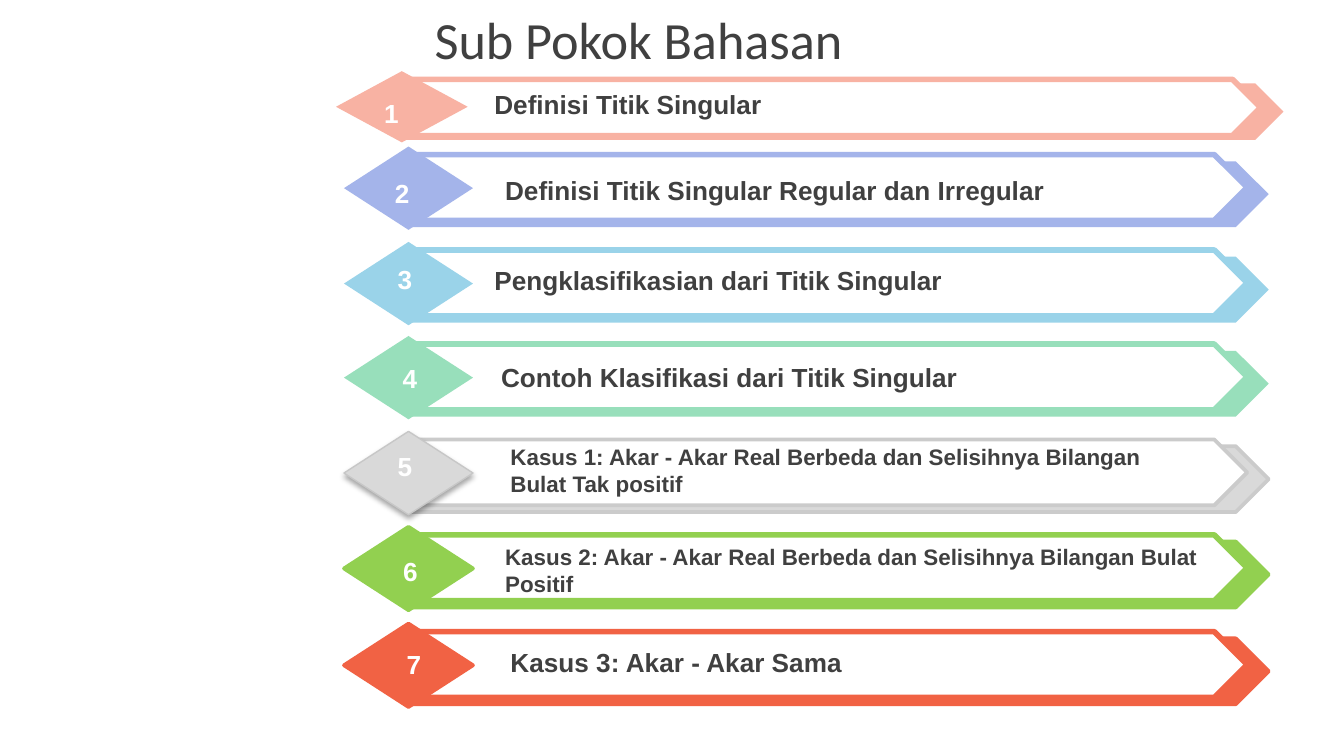
import pptx
import pptx.dml.color
import pptx.enum.shapes
import pptx.enum.text
import pptx.oxml
import pptx.oxml.ns
import pptx.util
from pptx.util import Inches

SHAPES = pptx.enum.shapes.MSO_SHAPE
ANCHOR = pptx.enum.text.MSO_ANCHOR
ALIGN = pptx.enum.text.PP_ALIGN
AUTO_SIZE = pptx.enum.text.MSO_AUTO_SIZE

WHITE = "FFFFFF"
DARK = "404040"

# Boxes are left, top, width, height; tops count from the diamond's top.
FIRST_ROW = {
    "back": (3.02, 0.09, 6.53, 0.42),
    "front": (3.02, 0.06, 6.36, 0.42),
    "diamond": (2.5, 0, 0.98, 0.53),
}
OTHER_ROWS = {
    "back": (3.06, 0.11, 6.38, 0.49),
    "front": (3.06, 0.06, 6.22, 0.49),
    "diamond": (2.56, 0, 0.96, 0.62),
}
ROW_TOPS = [0.53, 1.09, 1.8, 2.5, 3.21, 3.92, 4.64]

# Fill, front line, back line, diamond line; a line is (colour, points).
ROW_STYLES = [
    ("F8B2A3", ("F8B2A3", 3), None, None),
    ("A4B4EA", ("A4B4EA", 3), None, None),
    ("9AD3E9", ("9AD3E9", 3), None, None),
    ("98DFBB", ("98DFBB", 3), None, None),
    ("D9D9D9", ("CBCBCB", 2), ("CBCBCB", 2), ("C7C7C7", 0.75)),
    ("92D050", ("92D050", 3), ("92D050", 2), ("92D050", 2)),
    ("F16244", ("F16244", 3), ("F16244", 2), ("F16244", 2)),
]
SHADOWED_ROW = 4

# Number, its box, topic, its box, topic size.
ROW_TEXTS = [
    ("1 ", (2.73, 0.67, 0.42, 0.34),
     "Definisi Titik Singular", (3.58, 0.61, 5.43, 0.34), 14),
    ("2 ", (2.81, 1.27, 0.42, 0.34),
     "Definisi Titik Singular Regular dan Irregular", (3.66, 1.25, 5, 0.34), 14),
    ("3 ", (2.83, 1.91, 0.42, 0.34),
     "Pengklasifikasian dari Titik Singular", (3.58, 1.92, 5.35, 0.34), 14),
    ("4 ", (2.88, 2.64, 0.34, 0.34),
     "Contoh Klasifikasi dari Titik Singular", (3.63, 2.64, 5.07, 0.34), 14),
    ("5 ", (2.83, 3.3, 0.42, 0.34),
     "Kasus 1: Akar - Akar Real Berbeda dan Selisihnya Bilangan Bulat Tak positif",
     (3.7, 3.25, 5.24, 0.5), 12),
    ("6 ", (2.87, 4.08, 0.42, 0.34),
     "Kasus 2: Akar - Akar Real Berbeda dan Selisihnya Bilangan Bulat Positif",
     (3.66, 3.99, 5.61, 0.5), 12),
    ("7", (2.87, 4.77, 0.42, 0.34),
     "Kasus 3: Akar - Akar Sama", (3.7, 4.76, 5, 0.34), 14),
]


def colour(value):
    return pptx.dml.color.RGBColor.from_string(value)


def set_attributes(target, values):
    for name, value in values.items():
        setattr(target, name, value)


class SlideBuilder:
    def __init__(self, slide):
        self.slide = slide
        self.number_format = {"name": "Arial", "size": pptx.util.Pt(14), "bold": True}
        self.title_format = {"name": "Calibri", "size": pptx.util.Pt(28)}

    def text(self, words, box, font_format, font_colour, align=None,
             anchor=ANCHOR.TOP, auto_size=AUTO_SIZE.SHAPE_TO_FIT_TEXT):
        frame = self.slide.shapes.add_textbox(*map(Inches, box)).text_frame
        set_attributes(frame, {
            "word_wrap": True, "auto_size": auto_size, "vertical_anchor": anchor,
        })
        paragraph = frame.paragraphs[0]
        paragraph.alignment = align
        run = paragraph.add_run()
        run.text = words
        set_attributes(run.font, font_format)
        run.font.color.rgb = colour(font_colour)

    def shape(self, group, kind, box, top, fill, line):
        left, offset, width, height = box
        shape = group.shapes.add_shape(
            kind, *map(Inches, (left, top + offset, width, height)))
        shape.shadow.inherit = False
        shape.fill.solid()
        shape.fill.fore_color.rgb = colour(fill)
        if line:
            line_colour, points = line
            shape.line.color.rgb = colour(line_colour)
            shape.line.width = pptx.util.Pt(points)
        else:
            shape.line.fill.background()
        return shape

    def soft_shadow(self, shape):
        """Add a faint black shadow straight below the shape."""
        effects = shape.element.spPr.find(pptx.oxml.ns.qn("a:effectLst"))
        effects.append(pptx.oxml.parse_xml(
            f'<a:outerShdw {pptx.oxml.ns.nsdecls("a")} blurRad="{pptx.util.Pt(3.1)}" '
            f'dist="{pptx.util.Pt(1.8)}" dir="5400000" rotWithShape="0">'
            '<a:srgbClr val="000000"><a:alpha val="35000"/></a:srgbClr></a:outerShdw>'))

    def banner(self, layout, top, style, shadowed):
        fill, front_line, back_line, diamond_line = style
        group = self.slide.shapes.add_group_shape()
        self.shape(group, SHAPES.PENTAGON, layout["back"], top, fill, back_line)
        self.shape(group, SHAPES.PENTAGON, layout["front"], top, WHITE, front_line)
        diamond = self.shape(
            group, SHAPES.DIAMOND, layout["diamond"], top, fill, diamond_line)
        if shadowed:
            self.soft_shadow(diamond)

    def labels(self, number, number_box, topic, topic_box, size):
        self.text(number, number_box, self.number_format, WHITE,
                  ALIGN.CENTER, ANCHOR.MIDDLE)
        topic_format = {**self.number_format, "size": pptx.util.Pt(size)}
        self.text(topic, topic_box, topic_format, DARK)


def main():
    presentation = pptx.Presentation()
    presentation.slide_width = Inches(10)
    presentation.slide_height = Inches(10 * 9 / 16)
    slide = presentation.slides.add_slide(presentation.slide_layouts[6])
    builder = SlideBuilder(slide)

    builder.text("Sub Pokok Bahasan", (-0.06, 0.09, 9.62, 0.39), builder.title_format,
                 DARK, ALIGN.CENTER, ANCHOR.MIDDLE, AUTO_SIZE.NONE)
    for index, (top, style, texts) in enumerate(zip(ROW_TOPS, ROW_STYLES, ROW_TEXTS)):
        layout = OTHER_ROWS if index else FIRST_ROW
        builder.banner(layout, top, style, index == SHADOWED_ROW)
        builder.labels(*texts)

    presentation.save("out.pptx")


if __name__ == "__main__":
    main()
